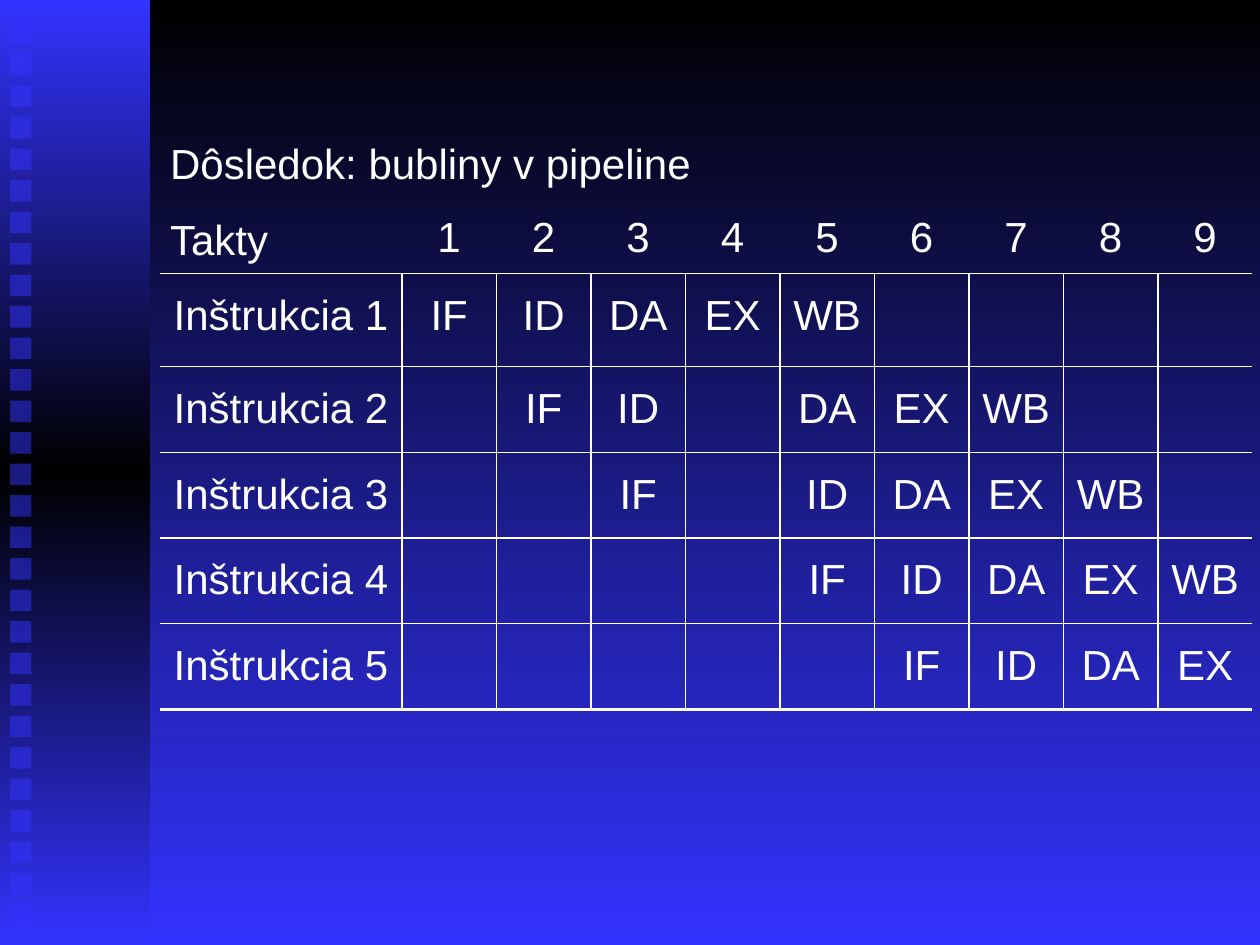
from copy import deepcopy
from dataclasses import dataclass

from lxml.etree import SubElement
from pptx import Presentation
from pptx.dml.color import RGBColor
from pptx.enum.shapes import MSO_SHAPE as Shape
from pptx.enum.text import MSO_ANCHOR as Anchor, MSO_AUTO_SIZE as AutoSize, PP_ALIGN as Align
from pptx.oxml.ns import qn
from pptx.util import Inches, Pt


@dataclass(frozen=True)
class Theme:
    blue: RGBColor = RGBColor(0x33, 0x33, 0xFF)
    black: RGBColor = RGBColor(0, 0, 0)
    white: RGBColor = RGBColor(255, 255, 255)
    font: str = "Arial"
    size: Pt = Pt(24)
    thin: Pt = Pt(1)
    thick: Pt = Pt(2.25)


theme = Theme()

HEADER = ["Takty", *"123456789"]
STAGES = [
    "IF ID DA EX WB - - - -",
    "- IF ID - DA EX WB - -",
    "- - IF - ID DA EX WB -",
    "- - - - IF ID DA EX WB",
    "- - - - - IF ID DA EX",
]
ROW_HEIGHTS = [0.59, 0.74] + [0.68] * 4
COLUMN_WIDTHS = [1.92] + [0.75] * 9


def fill_gradient(fill, first, last):
    """Fill from top to bottom with two colours."""
    fill.gradient()
    fill.gradient_angle = 270
    for stop, color, position in zip(fill.gradient_stops, (first, last), (0, 1)):
        stop.color.rgb = color
        stop.position = position


def set_border(cell, side, width):
    """Draw one side (L, R, T or B) of a cell; a width of 0 hides it."""
    line = SubElement(cell._tc.get_or_add_tcPr(), qn(f"a:ln{side}"), w=str(int(width)))
    if width:
        solid = SubElement(line, qn("a:solidFill"))
        SubElement(solid, qn("a:srgbClr"), val=str(theme.white))
    else:
        SubElement(line, qn("a:noFill"))


presentation = Presentation()
presentation.slide_width, presentation.slide_height = Inches(10), Inches(7.5)
slide = presentation.slides.add_slide(presentation.slide_layouts[5])
fill_gradient(slide.background.fill, theme.black, theme.blue)

# Side band: blue at both ends, black in the middle
band = slide.shapes.add_shape(Shape.RECTANGLE, 0, 0, Inches(1.19), presentation.slide_height)
band.shadow.inherit = False
band.line.fill.background()
fill_gradient(band.fill, theme.blue, theme.blue)
stops = band._element.spPr.find(f"{qn('a:gradFill')}/{qn('a:gsLst')}")
stops.insert(1, deepcopy(stops[0]))
middle = band.fill.gradient_stops[1]
middle.color.rgb = theme.black
middle.position = 0.5

# Column of half-transparent squares
for index in range(29):
    square = slide.shapes.add_shape(
        Shape.RECTANGLE, Inches(0.08), Inches(0.18 + 0.25 * index), Inches(0.17), Inches(0.17))
    square.shadow.inherit = False
    square.line.fill.background()
    square.fill.solid()
    square.fill.fore_color.rgb = theme.blue
    color = square._element.spPr.find(f"{qn('a:solidFill')}/{qn('a:srgbClr')}")
    SubElement(color, qn("a:alpha"), val="50000")

title = slide.shapes.title
title.left, title.top, title.width, title.height = map(Inches, (1.25, 0.67, 8.5, 1.25))
title.text_frame.text = "Dôsledok: bubliny v pipeline"
title.text_frame.auto_size = AutoSize.NONE
title.text_frame.vertical_anchor = Anchor.MIDDLE
heading = title.text_frame.paragraphs[0]
heading.alignment = Align.LEFT
heading.font.name, heading.font.size = theme.font, theme.size
heading.font.color.rgb = theme.white

# Pipeline table: one row per instruction, one column per clock cycle
rows = [HEADER] + [[f"Inštrukcia {number}", *stages.split()]
                   for number, stages in enumerate(STAGES, 1)]
last_row, last_column = len(rows) - 1, len(HEADER) - 1
table = slide.shapes.add_table(
    len(rows), len(HEADER), Inches(1.27), Inches(1.58),
    Inches(sum(COLUMN_WIDTHS)), Inches(sum(ROW_HEIGHTS))).table
table.first_row = table.horz_banding = False
for column, width in zip(table.columns, COLUMN_WIDTHS):
    column.width = Inches(width)
for row, height in zip(table.rows, ROW_HEIGHTS):
    row.height = Inches(height)

for r, texts in enumerate(rows):
    for c, text in enumerate(texts):
        cell = table.cell(r, c)
        set_border(cell, "L", theme.thin if r and c else 0)
        set_border(cell, "R", theme.thin if r and c < last_column else 0)
        set_border(cell, "T", theme.thin if r else 0)
        set_border(cell, "B", theme.thick if r == last_row else theme.thin)
        cell.fill.background()
        cell.margin_left = cell.margin_right = Inches(0.08)
        cell.margin_top = Inches(0.15 if r else 0.12)
        cell.margin_bottom = Inches(0.04)
        cell.text = "" if text == "-" else text
        paragraph = cell.text_frame.paragraphs[0]
        paragraph.alignment = Align.CENTER
        paragraph.font.name, paragraph.font.size = theme.font, theme.size
        paragraph.font.color.rgb = theme.white

corner = table.cell(0, 0)
corner.vertical_anchor = Anchor.MIDDLE
corner.text_frame.paragraphs[0].alignment = Align.LEFT

presentation.save("out.pptx")
